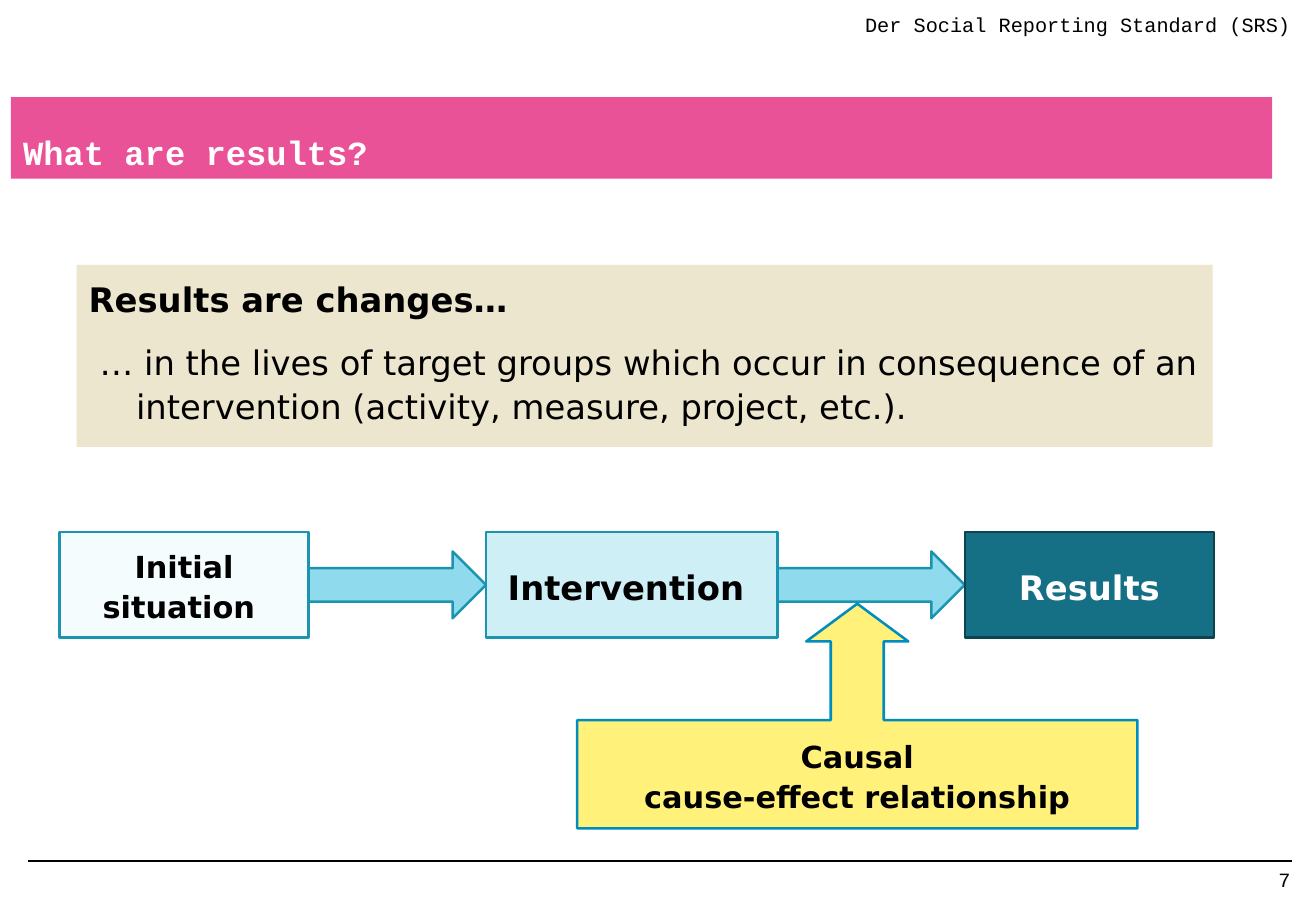
from dataclasses import dataclass

from lxml.etree import SubElement
from pptx import Presentation
from pptx.dml.color import RGBColor
from pptx.enum.shapes import MSO_CONNECTOR, MSO_SHAPE
from pptx.enum.text import MSO_ANCHOR, MSO_AUTO_SIZE, PP_ALIGN
from pptx.oxml.ns import qn
from pptx.util import Inches, Pt


@dataclass(frozen=True)
class Theme:
    mono: str = "Courier New"
    sans: str = "DejaVu Sans"
    small: int = 12
    medium: int = 18
    large: int = 20
    black: str = "000000"
    white: str = "FFFFFF"
    pink: str = "EA5297"
    sand: str = "EBE6CD"
    pale: str = "F5FCFD"
    light: str = "CEEFF6"
    sky: str = "8FDBED"
    teal: str = "1C94B0"
    deep: str = "157085"
    navy: str = "0D424F"
    yellow: str = "FFF17A"
    blue: str = "008DBD"


class SlideBuilder:
    def __init__(self, slide, theme):
        self.s = slide
        self.t = theme

    def paint(self, sp, fill):
        sp.fill.solid()
        sp.fill.fore_color.rgb = RGBColor.from_string(fill)

    def place(self, sp, box):
        sp.left, sp.top, sp.width, sp.height = map(Inches, box)

    def frame(self, sp, anchor, margins=(0.1, 0.05, 0.1, 0.05)):
        tf = sp.text_frame
        tf.word_wrap = True
        tf.auto_size = MSO_AUTO_SIZE.NONE
        tf.vertical_anchor = anchor
        (tf.margin_left, tf.margin_top,
         tf.margin_right, tf.margin_bottom) = map(Inches, margins)
        return tf

    def format(self, p, font, size, color, bold=False, align=PP_ALIGN.LEFT, spacing=1.0):
        p.alignment = align
        p.line_spacing = spacing
        for r in p.runs:
            r.font.name = font
            r.font.size = Pt(size)
            r.font.bold = bold
            r.font.color.rgb = RGBColor.from_string(color)

    def title(self, text, box):
        sp = self.s.shapes.title
        self.place(sp, box)
        self.paint(sp, self.t.pink)
        tf = self.frame(sp, MSO_ANCHOR.BOTTOM)
        tf.text = text
        self.format(tf.paragraphs[0], self.t.mono, self.t.large, self.t.white, bold=True)

    def body(self, items, box):
        """Fill the body placeholder; items are (text, bold, margin, indent, spacing)."""
        sp = self.s.placeholders[1]
        self.place(sp, box)
        self.paint(sp, self.t.sand)
        tf = self.frame(sp, MSO_ANCHOR.TOP)
        tf.text = "\n".join(item[0] for item in items)
        for i, (p, (_, bold, margin, indent, spacing)) in enumerate(zip(tf.paragraphs, items)):
            pPr = p._p.get_or_add_pPr()
            pPr.set("marL", str(Inches(margin)))
            pPr.set("indent", str(Inches(indent)))
            SubElement(pPr, qn("a:buNone"))
            p.space_before = Pt(4.8 if i else 0)
            p.space_after = Pt(6)
            self.format(p, self.t.sans, self.t.large, self.t.black, bold, spacing=spacing)

    def label(self, text, box):
        """Add a small right-aligned page label."""
        sp = self.s.shapes.add_textbox(*map(Inches, box))
        tf = self.frame(sp, MSO_ANCHOR.TOP, (0.1, 0.05, 0, 0.05))
        tf.text = text
        self.format(tf.paragraphs[0], self.t.mono, self.t.small, self.t.black,
                    align=PP_ALIGN.RIGHT)

    def rule(self, left, right, y):
        line = self.s.shapes.add_connector(
            MSO_CONNECTOR.STRAIGHT, Inches(left), Inches(y), Inches(right), Inches(y))
        line.line.color.rgb = RGBColor.from_string(self.t.black)
        line.line.width = Pt(1)
        SubElement(line._element.spPr, qn("a:effectLst"))

    def shape(self, kind, box, fill, outline, text="", size=18, color="000000"):
        sp = self.s.shapes.add_shape(kind, *map(Inches, box))
        sp.shadow.inherit = False
        self.paint(sp, fill)
        sp.line.color.rgb = RGBColor.from_string(outline)
        sp.line.width = Pt(1.5)
        if text:
            tf = self.frame(sp, MSO_ANCHOR.MIDDLE)
            tf.text = text
            for p in tf.paragraphs:
                self.format(p, self.t.sans, size, color, True, PP_ALIGN.CENTER, 1.1)
        return sp


def main():
    prs = Presentation()
    prs.slide_width, prs.slide_height = Inches(10.83), Inches(7.5)
    t = Theme()
    b = SlideBuilder(prs.slides.add_slide(prs.slide_layouts[1]), t)

    b.rule(0.23, 10.63, 7.09)
    b.label("7", (8.09, 7.09, 2.53, 0.31))
    b.label("Der Social Reporting Standard (SRS)", (5.42, 0.05, 5.2, 0.4))
    b.title("What are results?", (0.09, 0.8, 10.38, 0.67))
    b.body([
        ("Results are changes…", True, 0.29, -0.29, 1.2),
        ("… in the lives of target groups which occur in consequence of an "
         "intervention (activity, measure, project, etc.).", False, 0.39, -0.3, 1.1),
    ], (0.63, 2.18, 9.35, 1.5))

    for left, width in ((2.5, 1.5), (6.4, 1.54)):
        b.shape(MSO_SHAPE.RIGHT_ARROW, (left, 4.54, width, 0.55), t.sky, t.teal)

    callout = b.shape(MSO_SHAPE.UP_ARROW_CALLOUT, (4.75, 4.97, 4.61, 1.85), t.yellow, t.blue,
                      "Causal\ncause-effect relationship", t.medium, t.black)
    for i, value in enumerate((0.236, 0.227, 0.168, 0.482)):
        callout.adjustments[i] = value

    stages = [
        ("Initial situation ", 0.49, 2.05, t.pale, t.teal, t.medium, t.black),
        ("Intervention ", 4, 2.4, t.light, t.teal, t.large, t.black),
        ("Results", 7.94, 2.05, t.deep, t.navy, t.large, t.white),
    ]
    for text, left, width, fill, outline, size, color in stages:
        b.shape(MSO_SHAPE.RECTANGLE, (left, 4.38, width, 0.87), fill, outline, text, size, color)

    prs.save("out.pptx")


if __name__ == "__main__":
    main()
